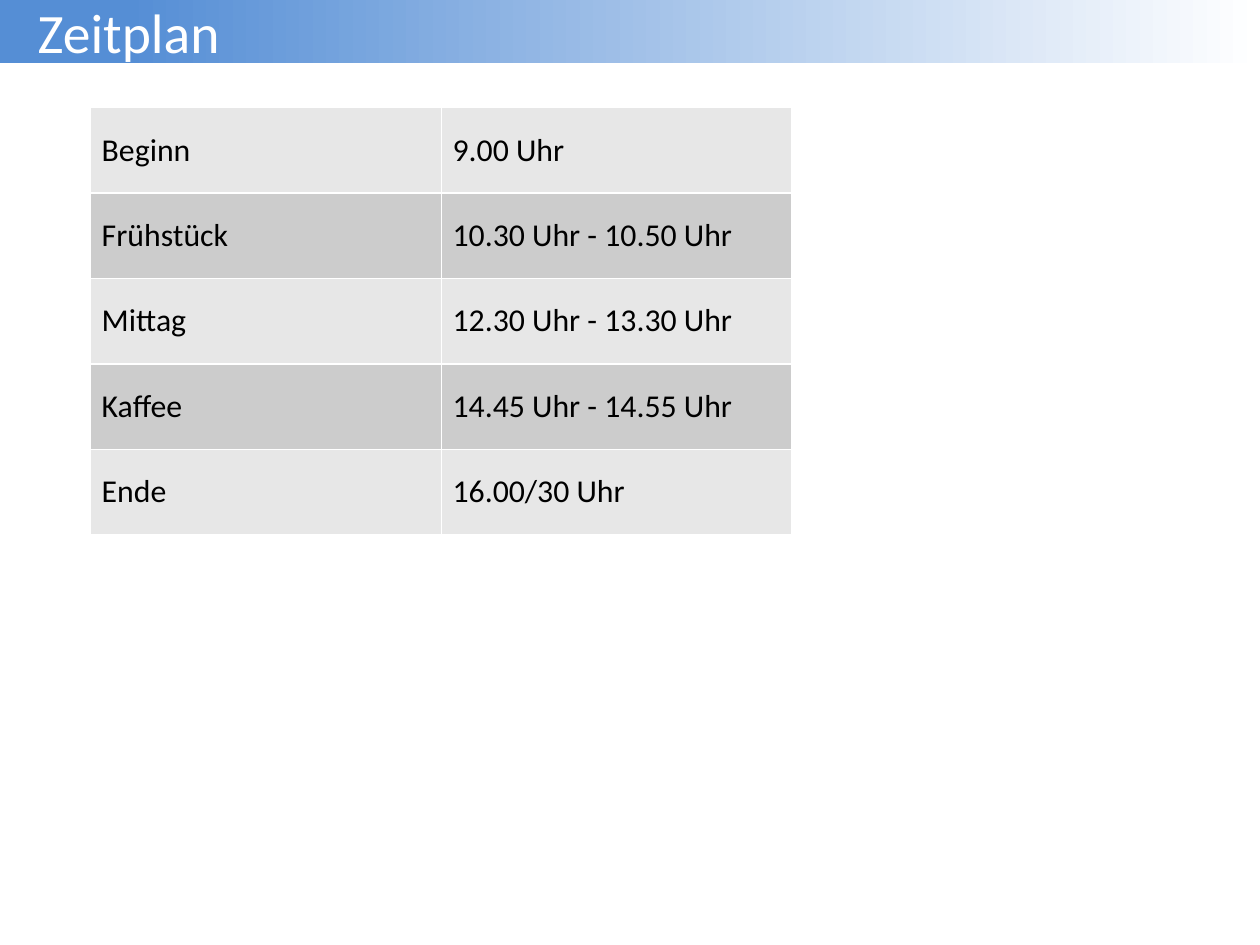
"""Build the day plan slide with a title bar and a table of times."""
import dataclasses

import pptx
import pptx.dml.color
import pptx.enum.shapes
import pptx.enum.text
import pptx.oxml
import pptx.oxml.ns
import pptx.util

Inches = pptx.util.Inches
WIDTH = Inches(28 / 2.54)
HEIGHT = Inches(21 / 2.54)
FONT = "Calibri"
COLORS = {
    "blue": "558ED5",
    "white": "FFFFFF",
    "black": "000000",
    "light": "E7E7E7",
    "dark": "CCCCCC",
}


@dataclasses.dataclass
class Entry:
    label: str
    time: str


PLAN = [
    Entry("Beginn", "9.00 Uhr"),
    Entry("Frühstück", "10.30 Uhr - 10.50 Uhr"),
    Entry("Mittag", "12.30 Uhr - 13.30 Uhr"),
    Entry("Kaffee", "14.45 Uhr - 14.55 Uhr"),
    Entry("Ende", "16.00/30 Uhr"),
]


def paint(name: str) -> pptx.dml.color.RGBColor:
    return pptx.dml.color.RGBColor.from_string(COLORS[name])


def write(frame, text: str, size: float, color: str) -> None:
    line = frame.paragraphs[0]
    line.alignment = pptx.enum.text.PP_ALIGN.LEFT
    run = line.add_run()
    run.text = text
    run.font.name = FONT
    run.font.size = pptx.util.Pt(size)
    run.font.color.rgb = paint(color)


def draw_title(slide, text: str) -> None:
    bar = slide.shapes.add_shape(
        pptx.enum.shapes.MSO_SHAPE.RECTANGLE, 0, 0, WIDTH, Inches(0.55)
    )
    bar.shadow.inherit = False
    bar.line.fill.background()
    bar.fill.gradient()
    bar.fill.gradient_angle = 0
    for stop, (place, name) in zip(
        bar.fill.gradient_stops, [(0.1, "blue"), (1.0, "white")]
    ):
        stop.position = place
        stop.color.rgb = paint(name)
    frame = bar.text_frame
    frame.word_wrap = True
    frame.vertical_anchor = pptx.enum.text.MSO_ANCHOR.MIDDLE
    frame.margin_left = frame.margin_right = Inches(0.11)
    frame.margin_top = frame.margin_bottom = Inches(0.06)
    props = frame.paragraphs[0]._p.get_or_add_pPr()
    props.set("marL", str(Inches(0.22)))
    props.set("indent", "0")
    write(frame, text, 35, "white")


def edge(cell) -> None:
    props = cell._tc.get_or_add_tcPr()
    for side in ("lnL", "lnR", "lnT", "lnB"):
        props.append(pptx.oxml.parse_xml(
            f'<a:{side} {pptx.oxml.ns.nsdecls("a")} w="{pptx.util.Pt(1)}">'
            f'<a:solidFill><a:srgbClr val="{COLORS["white"]}"/></a:solidFill>'
            f'</a:{side}>'
        ))


def draw_plan(slide, plan: list[Entry]) -> None:
    grid = slide.shapes.add_table(
        len(plan), 2, Inches(0.79), Inches(0.94), Inches(6.14), Inches(3.74)
    ).table
    grid.first_row = False
    for row, entry in enumerate(plan):
        for col, text in enumerate((entry.label, entry.time)):
            cell = grid.cell(row, col)
            edge(cell)
            cell.fill.solid()
            cell.fill.fore_color.rgb = paint("dark" if row % 2 else "light")
            cell.vertical_anchor = pptx.enum.text.MSO_ANCHOR.MIDDLE
            write(cell.text_frame, text, 20, "black")


def main() -> None:
    deck = pptx.Presentation()
    deck.slide_width = WIDTH
    deck.slide_height = HEIGHT
    slide = deck.slides.add_slide(deck.slide_layouts[6])
    draw_title(slide, "Zeitplan")
    draw_plan(slide, PLAN)
    deck.save("out.pptx")


if __name__ == "__main__":
    main()
